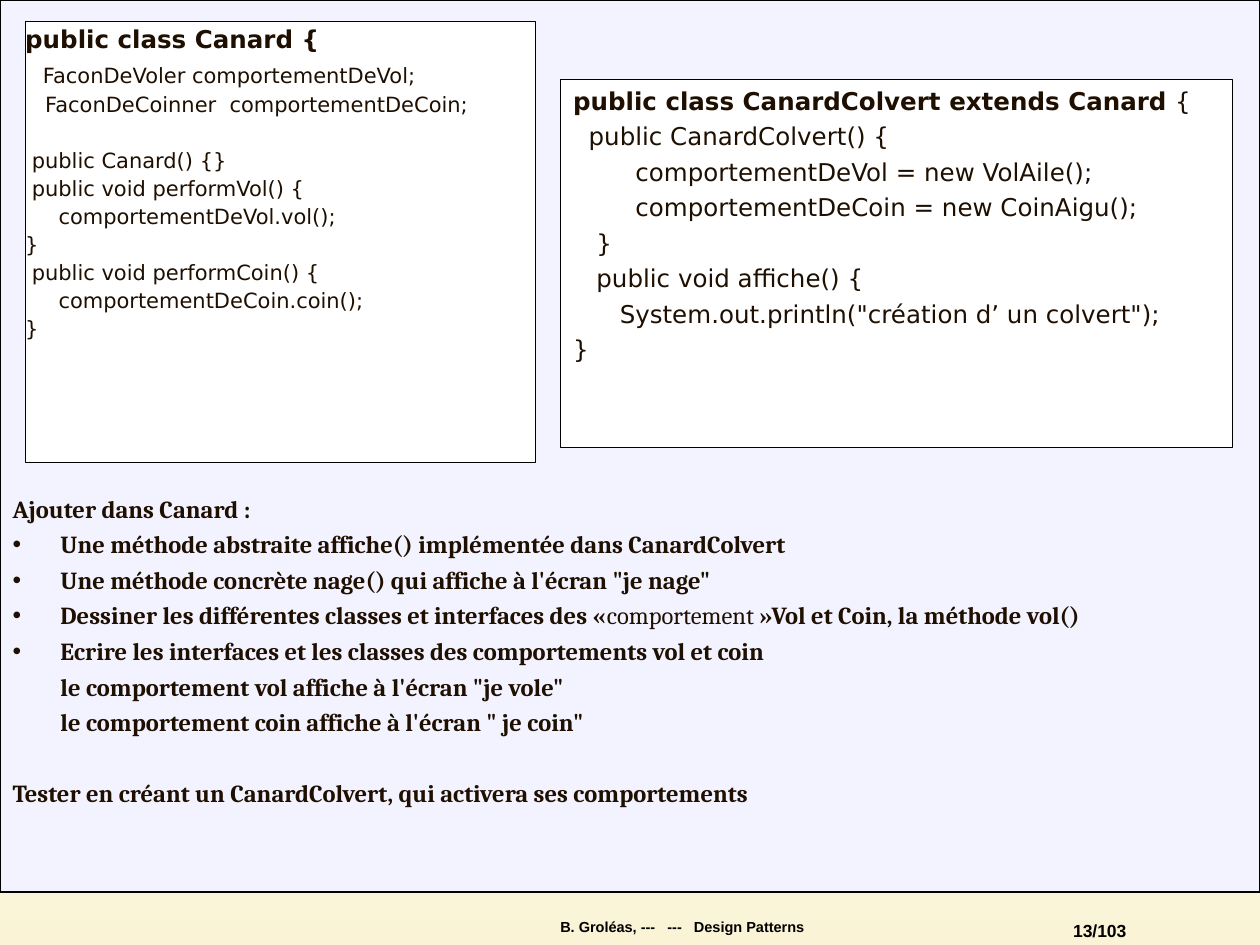
"""Build the Canard design-pattern exercise slide."""
from copy import deepcopy
from dataclasses import dataclass
from typing import Any

from lxml import etree
from pptx import Presentation
from pptx import util as u
from pptx.dml.color import RGBColor
from pptx.enum import shapes, text
from pptx.oxml.ns import qn

BLACK = RGBColor(0x00, 0x00, 0x00)
WHITE = RGBColor(0xFF, 0xFF, 0xFF)
INK = RGBColor(0x1E, 0x0F, 0x00)
LAVENDER = RGBColor(0xF3, 0xF3, 0xFF)
CREAM = RGBColor(0xFA, 0xF3, 0xD6)

ARIAL, CAMBRIA, CODE_FONT = "Arial", "Cambria", "DejaVu Sans"
INDENT = u.Inches(0.38)


@dataclass(frozen=True)
class Run:
    text: str
    size: float = 14
    bold: bool = False


@dataclass(frozen=True)
class Line:
    runs: tuple[Run, ...]
    before: float = 3.5
    bullet: bool = False
    indented: bool = False


@dataclass(frozen=True)
class Block:
    box: tuple[float, float, float, float]
    lines: tuple[Line, ...]
    font: str
    color: RGBColor = INK
    align: Any = text.PP_ALIGN.LEFT
    spacing: float = 1.0
    left_inset: float = 0.1
    right_inset: float = 0.1


def code(words: str, size: float = 14, before: float = 3.5) -> Line:
    """Return one plain line of code."""
    return Line((Run(words, size),), before)


def task(words: str, before: float = 3.5, **marks: bool) -> Line:
    """Return one bold line of the exercise."""
    return Line((Run(words, bold=True),), before, **marks)


CANARD = Block((0.2, 0.17, 4.05, 3.5), (
    Line((Run("public class Canard {", bold=True),)),
    Line((Run("  ", 16), Run("FaconDeVoler comportementDeVol;", 12)), 3),
    code("   FaconDeCoinner  comportementDeCoin;", 12, 3),
    code(" public Canard() {}", 12, 19),
    *(code(words, 12, 3) for words in (
        " public void performVol() {",
        "     comportementDeVol.vol();",
        "}",
        " public void performCoin() {",
        "     comportementDeCoin.coin();",
        "}",
    )),
), CODE_FONT, spacing=0.9, left_inset=0)

COLVERT = Block((4.45, 0.63, 5.33, 2.92), (
    Line((Run("public class CanardColvert extends Canard", bold=True), Run(" {"))),
    *map(code, (
        "  public CanardColvert() {",
        "        comportementDeVol = new VolAile();",
        "        comportementDeCoin = new CoinAigu();",
        "   }",
        "   public void affiche() {",
        '      System.out.println("création d’ un colvert");',
        "}",
    )),
), CODE_FONT)

EXERCISE = Block((0, 3.87, 9.5, 3.04), (
    task("Ajouter dans Canard :"),
    task("Une méthode abstraite affiche() implémentée dans CanardColvert", bullet=True),
    task("Une méthode concrète nage() qui affiche à l'écran \"je nage\"", bullet=True),
    Line((
        Run("Dessiner les différentes classes et interfaces des «", bold=True),
        Run("comportement"),
        Run(" »Vol et Coin, la méthode vol()", bold=True),
    ), bullet=True),
    task("Ecrire les interfaces et les classes des comportements vol et coin", bullet=True),
    task("le comportement vol affiche à l'écran \"je vole\"", indented=True),
    task("le comportement coin affiche à l'écran \" je coin\"", indented=True),
    task("Tester en créant un CanardColvert, qui activera ses comportements", 23.8),
), CAMBRIA)

FOOTER = Block((2.08, 7.25, 6.67, 0.25), (
    Line((Run("B. Groléas, ---   ---   Design Patterns", 8.3, True),)),
), ARIAL, BLACK, text.PP_ALIGN.CENTER, 0.9)

PAGE = Block((8.33, 7.25, 0.75, 0.25), (
    Line((Run("13/103", 10, True),)),
), ARIAL, BLACK, text.PP_ALIGN.RIGHT, right_inset=0.14)


def apply(target: Any, formats: dict[str, Any]) -> None:
    """Set each named attribute on the target."""
    for name, value in formats.items():
        setattr(target, name, value)


def place(shape: Any, box: tuple[float, float, float, float]) -> None:
    """Move and size a shape in inches."""
    apply(shape, dict(zip(("left", "top", "width", "height"), map(u.Inches, box))))


def mark(paragraph: Any, line: Line) -> None:
    """Give a paragraph its indent and its bullet, or none."""
    properties = paragraph._p.get_or_add_pPr()
    properties.set("marL", str(INDENT if line.bullet or line.indented else 0))
    properties.set("indent", str(-INDENT if line.bullet else 0))
    if line.bullet:
        etree.SubElement(properties, qn("a:buChar"), char="•")
    else:
        etree.SubElement(properties, qn("a:buNone"))


def write(shape: Any, block: Block) -> None:
    """Place a shape and fill it with the lines of a block."""
    place(shape, block.box)
    frame = shape.text_frame
    apply(frame, {
        "word_wrap": True,
        "auto_size": text.MSO_AUTO_SIZE.NONE,
        "vertical_anchor": text.MSO_ANCHOR.TOP,
        "margin_left": u.Inches(block.left_inset),
        "margin_right": u.Inches(block.right_inset),
        "margin_top": u.Inches(0.05),
        "margin_bottom": u.Inches(0.05),
    })
    for index, line in enumerate(block.lines):
        paragraph = frame.add_paragraph() if index else frame.paragraphs[0]
        mark(paragraph, line)
        apply(paragraph, {
            "alignment": block.align,
            "line_spacing": block.spacing,
            "space_before": u.Pt(line.before if index else 0),
        })
        for part in line.runs:
            run = paragraph.add_run()
            run.text = part.text
            apply(run.font, {"name": block.font, "size": u.Pt(part.size), "bold": part.bold})
            run.font.color.rgb = block.color


def add_panel(slide: Any, box: tuple[float, float, float, float], color: RGBColor) -> Any:
    """Add a filled rectangle with a thin black outline."""
    shape = slide.shapes.add_shape(shapes.MSO_SHAPE.RECTANGLE, *map(u.Inches, box))
    shape.shadow.inherit = False
    shape.fill.solid()
    shape.fill.fore_color.rgb = color
    shape.line.color.rgb = BLACK
    shape.line.width = u.Pt(0.75)
    return shape


def paint_background(slide: Any) -> None:
    """Give the slide a vertical cream-white-cream gradient."""
    fill = slide.background.fill
    fill.gradient()
    fill.gradient_angle = 270
    stops = slide.element.find(".//" + qn("a:gsLst"))
    stops.append(deepcopy(stops[-1]))
    for stop, position, color in zip(fill.gradient_stops, (0, 0.5, 1), (CREAM, WHITE, CREAM)):
        stop.position = position
        stop.color.rgb = color


def main() -> None:
    """Build and save the presentation."""
    presentation = Presentation()
    apply(presentation, {"slide_width": u.Inches(10), "slide_height": u.Inches(7.5)})
    slide = presentation.slides.add_slide(presentation.slide_layouts[1])
    paint_background(slide)
    title, body = slide.placeholders
    title.element.getparent().remove(title.element)
    panel = add_panel(slide, (0, 0, 10, 7.08), LAVENDER)
    body.element.addprevious(panel.element)
    write(body, EXERCISE)
    for block in (CANARD, COLVERT):
        write(add_panel(slide, block.box, WHITE), block)
    for block in (FOOTER, PAGE):
        write(slide.shapes.add_textbox(*map(u.Inches, block.box)), block)
    presentation.save("out.pptx")


if __name__ == "__main__":
    main()
